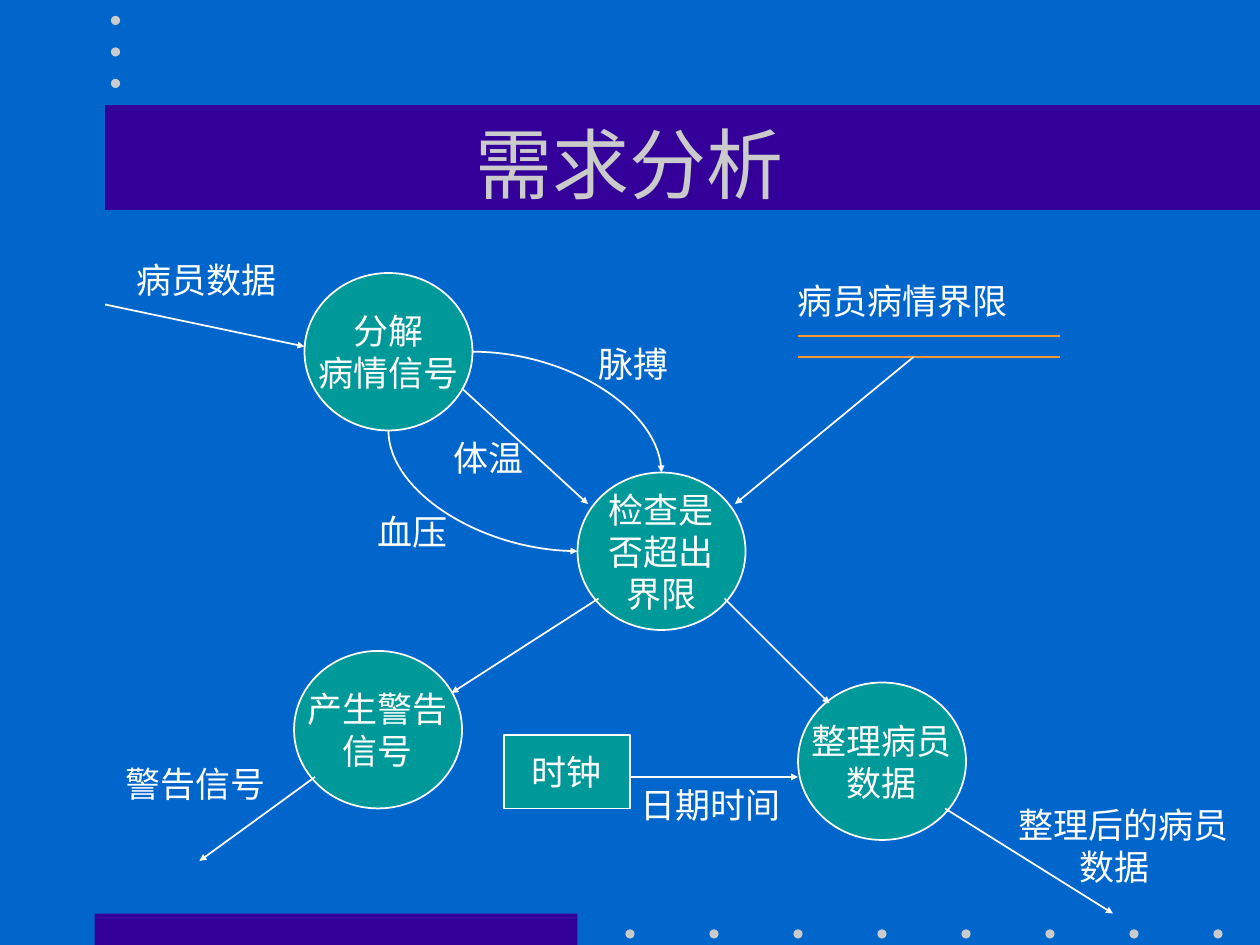
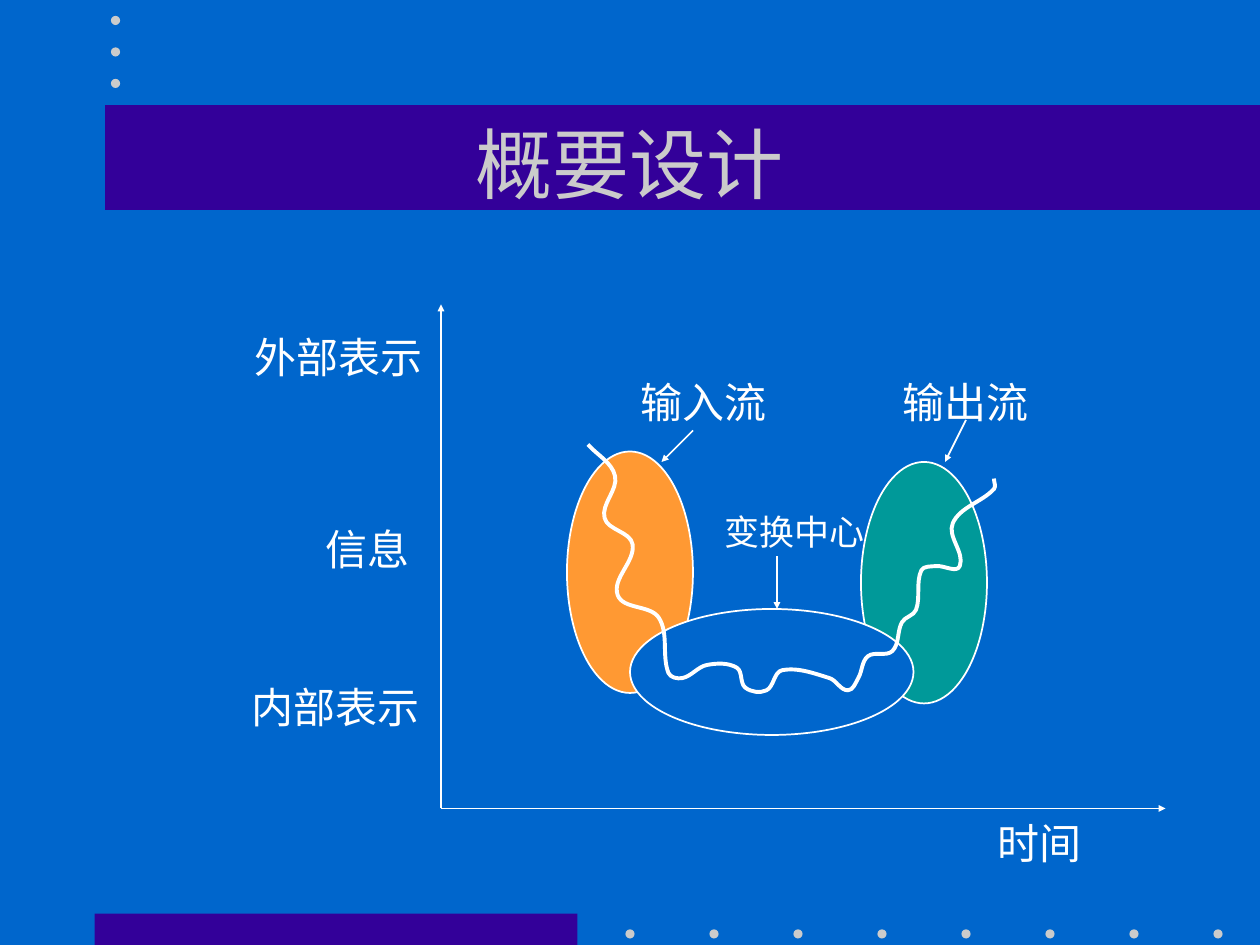
from math import dist

from lxml.etree import SubElement
from pptx import Presentation
from pptx.dml.color import RGBColor
from pptx.enum.shapes import MSO_CONNECTOR, MSO_SHAPE
from pptx.enum.text import MSO_ANCHOR, MSO_AUTO_SIZE, PP_ALIGN
from pptx.oxml.ns import qn
from pptx.util import Pt

COLORS = {
    "background": "0066CC",
    "band": "330099",
    "grey": "CBCBCB",
    "teal": "009999",
    "orange": "FF9933",
    "white": "FFFFFF",
}
RGB = {name: RGBColor.from_string(value) for name, value in COLORS.items()}
FONT = "Times New Roman"
DOT = 5.25
PROCESS_W, PROCESS_H = 96, 90
STREAM_W, STREAM_H = 72, 138


def add_box(slide, text, left, top, width=None, height=None, shape=None,
            fill=None, line=None, size=20, align=PP_ALIGN.LEFT):
    """Add a preset shape, or a text box sized to its text when shape is None."""
    lines = text.split("\n")
    if shape is None:
        width = size * max(len(t) for t in lines) + 14.4
        height = size * 1.2 * len(lines) + 7.2
        sp = slide.shapes.add_textbox(Pt(left), Pt(top), Pt(width), Pt(height))
    else:
        sp = slide.shapes.add_shape(shape, Pt(left), Pt(top), Pt(width), Pt(height))
        sp.shadow.inherit = False
        sp.fill.solid()
        sp.fill.fore_color.rgb = RGB[fill]
        if line:
            sp.line.color.rgb = RGB[line]
            sp.line.width = Pt(1)
        else:
            sp.line.fill.background()
    tf = sp.text_frame
    tf.word_wrap = False
    tf.vertical_anchor = MSO_ANCHOR.MIDDLE if shape else MSO_ANCHOR.TOP
    if text:
        tf.text = text
        for p in tf.paragraphs:
            p.alignment = align
            p.font.name = FONT
            p.font.size = Pt(size)
            p.font.color.rgb = RGB["white"]
    return sp


def add_line(slide, start, end, color="white", width=1, arrow="tailEnd",
             kind=MSO_CONNECTOR.STRAIGHT):
    """Add a connector; arrow is tailEnd, headEnd or None."""
    cxn = slide.shapes.add_connector(kind, *[Pt(v) for v in (*start, *end)])
    cxn.line.color.rgb = RGB[color]
    cxn.line.width = Pt(width)
    spPr = cxn._element.spPr
    if arrow:
        SubElement(spPr.find(qn("a:ln")), qn("a:" + arrow),
                   type="triangle", w="sm", len="sm")
    SubElement(spPr, qn("a:effectLst"))
    if kind == MSO_CONNECTOR.CURVE:
        spPr.find(qn("a:prstGeom")).set("prst", "curvedConnector2")


prs = Presentation()
prs.slide_width, prs.slide_height = Pt(720), Pt(540)
master = prs.slide_master
master.background.fill.solid()
master.background.fill.fore_color.rgb = RGB["background"]

# Titles
slides = []
for title in ["需求分析", "概要设计"]:
    slide = prs.slides.add_slide(prs.slide_layouts[5])
    sp = slide.shapes.title
    sp.left, sp.top, sp.width, sp.height = Pt(54), Pt(48), Pt(612), Pt(90)
    tf = sp.text_frame
    tf.text = title
    tf.auto_size = MSO_AUTO_SIZE.NONE
    tf.vertical_anchor = MSO_ANCHOR.MIDDLE
    p = tf.paragraphs[0]
    p.alignment = PP_ALIGN.CENTER
    p.font.name = FONT
    p.font.size = Pt(44)
    p.font.color.rgb = RGB["grey"]
    slides.append(slide)
analysis, design = slides

# Bands and dots, made on a slide and then moved to the master
footer_band, title_band = (54, 522, 276, 18), (60, 60, 660, 60)
footer_dots = [(360 + 48 * i, 533.7) for i in range(8)]
corner_dots = [(66, 11.7 + 18 * i) for i in range(3)]
decor = [add_box(analysis, "", *band, shape=MSO_SHAPE.RECTANGLE, fill="band")
         for band in (footer_band, title_band)]
decor += [add_box(analysis, "", x - DOT / 2, y - DOT / 2, DOT, DOT,
                  shape=MSO_SHAPE.OVAL, fill="grey")
          for x, y in footer_dots + corner_dots]
for sp in decor:
    master.shapes._spTree.append(sp._element)

# Slide 1: processes of the data flow diagram, by left top corner
split, tidy, check, alarm = (174, 156), (456, 390), (330, 270), (168, 372)
processes = [
    ("分解\n病情信号", split),
    ("整理病员\n数据", tidy),
    ("检查是\n否超出\n界限", check),
    ("产生警告\n信号", alarm),
]
for text, corner in processes:
    add_box(analysis, text, *corner, PROCESS_W, PROCESS_H, shape=MSO_SHAPE.OVAL,
            fill="teal", line="white", align=PP_ALIGN.CENTER)
add_box(analysis, "时钟", 288, 420, 72, 42, shape=MSO_SHAPE.RECTANGLE,
        fill="teal", line="white", align=PP_ALIGN.CENTER)

# The data store is a pair of lines
for y in (192, 204):
    add_line(analysis, (456, y), (606, y), color="orange", width=1.5, arrow=None)

# Straight flows: start, end, label, label corner
flows = [
    ((60, 174), (174, 198), "病员数据", (71, 144)),
    ((264, 222), (336, 288), "体温", (252, 246)),
    ((522, 204), (420, 288), "病员病情界限", (448.5, 156)),
    ((342, 342), (258, 396), None, None),
    ((180, 444), (114, 492), "警告信号", (64.5, 432)),
    ((414, 342), (474, 402), None, None),
    ((540, 462), (636, 522), "整理后的病员\n数据", (575, 455.5)),
    ((360, 444), (456, 444), "日期时间", (359, 444)),
]
for start, end, label, corner in flows:
    add_line(analysis, start, end)
    if label:
        sp = add_box(analysis, label, *corner)
        for p in sp.text_frame.paragraphs[1:]:
            p._p.get_or_add_pPr().set("marL", str(Pt(35)))

# Curved flows leave the split process and enter the check process
split_right = (split[0] + PROCESS_W, split[1] + PROCESS_H / 2)
split_bottom = (split[0] + PROCESS_W / 2, split[1] + PROCESS_H)
check_top = (check[0] + PROCESS_W / 2, check[1])
check_left = (check[0], check[1] + PROCESS_H / 2)
add_line(analysis, split_right, check_top, kind=MSO_CONNECTOR.CURVE)
add_line(analysis, check_left, split_bottom, kind=MSO_CONNECTOR.CURVE, arrow="headEnd")
add_box(analysis, "脉搏", 335, 192)
add_box(analysis, "血压", 208.5, 288)

# Slide 2: axes and regions of the information flow
origin = (252, 462)
for axis_end in [(252, 174), (666, 462)]:
    add_line(design, origin, axis_end)
regions = [
    ("orange", 324, 258, STREAM_W, STREAM_H),
    ("teal", 492, 264, STREAM_W, STREAM_H),
    ("background", 360, 348, 162, 72),
]
for fill, *frame in regions:
    add_box(design, "", *frame, shape=MSO_SHAPE.OVAL, fill=fill, line="white")

# The information flow passes through these points, region by region
input_stream = [(336, 254), (351.5, 272), (345.5, 296), (361.5, 311), (353, 340), (376.5, 353)]
transform_center = [
    (382, 384.5), (390, 387.5), (404, 380), (421, 381.5), (426, 393), (438, 394.5),
    (447, 383), (474, 387.5), (484.5, 394.5), (490.5, 387.5), (496, 375),
]
output_stream = [
    (510, 372), (515.5, 355.5), (523.5, 348.5), (526.5, 326), (535, 323.5),
    (548.5, 323.5), (544.5, 299), (568, 279.5), (568, 273.5),
]
route = input_stream + transform_center + output_stream

# Smoothing rule: at each point the curve runs parallel to the chord between its
# neighbours, and each control point lies a third of the segment away
directions = []
for i in range(len(route)):
    before, after = route[max(i - 1, 0)], route[min(i + 1, len(route) - 1)]
    chord = dist(before, after)
    directions.append([(b - a) / chord for a, b in zip(before, after)])
bezier = []
for i, (a, b) in enumerate(zip(route, route[1:])):
    reach = dist(a, b) / 3
    bezier.append([v + reach * d for v, d in zip(a, directions[i])])
    bezier.append([v - reach * d for v, d in zip(b, directions[i + 1])])
    bezier.append(b)

builder = design.shapes.build_freeform(*[Pt(v) for v in route[0]])
builder.add_line_segments([(Pt(x), Pt(y)) for x, y in bezier], close=False)
flow = builder.convert_to_shape()
flow.shadow.inherit = False
flow.fill.background()
flow.line.color.rgb = RGB["white"]
flow.line.width = Pt(2.25)
# Join every three straight segments into one Bezier segment
segments = list(flow._element.iter(qn("a:lnTo")))
for i in range(0, len(segments), 3):
    curve = SubElement(segments[i].getparent(), qn("a:cubicBezTo"))
    for segment in segments[i:i + 3]:
        curve.append(segment[0])
        segment.getparent().remove(segment)

axis_labels = [
    ("信息", 179, 295.5),
    ("外部表示", 138.5, 186),
    ("内部表示", 136.5, 386),
    ("时间", 563, 463.5),
]
for text, *corner in axis_labels:
    add_box(design, text, *corner, size=24)

# Region labels: text, corner, size, pointer start and end
region_labels = [
    ("输入流", (359, 211.5), 24, (396, 246), (378, 264)),
    ("输出流", (508.5, 211.5), 24, (552, 240), (540, 264)),
    ("变换中心", (407, 288), 20, (444, 318), (444, 348)),
]
for text, corner, size, start, end in region_labels:
    add_box(design, text, *corner, size=size)
    add_line(design, start, end)

prs.save("out.pptx")
